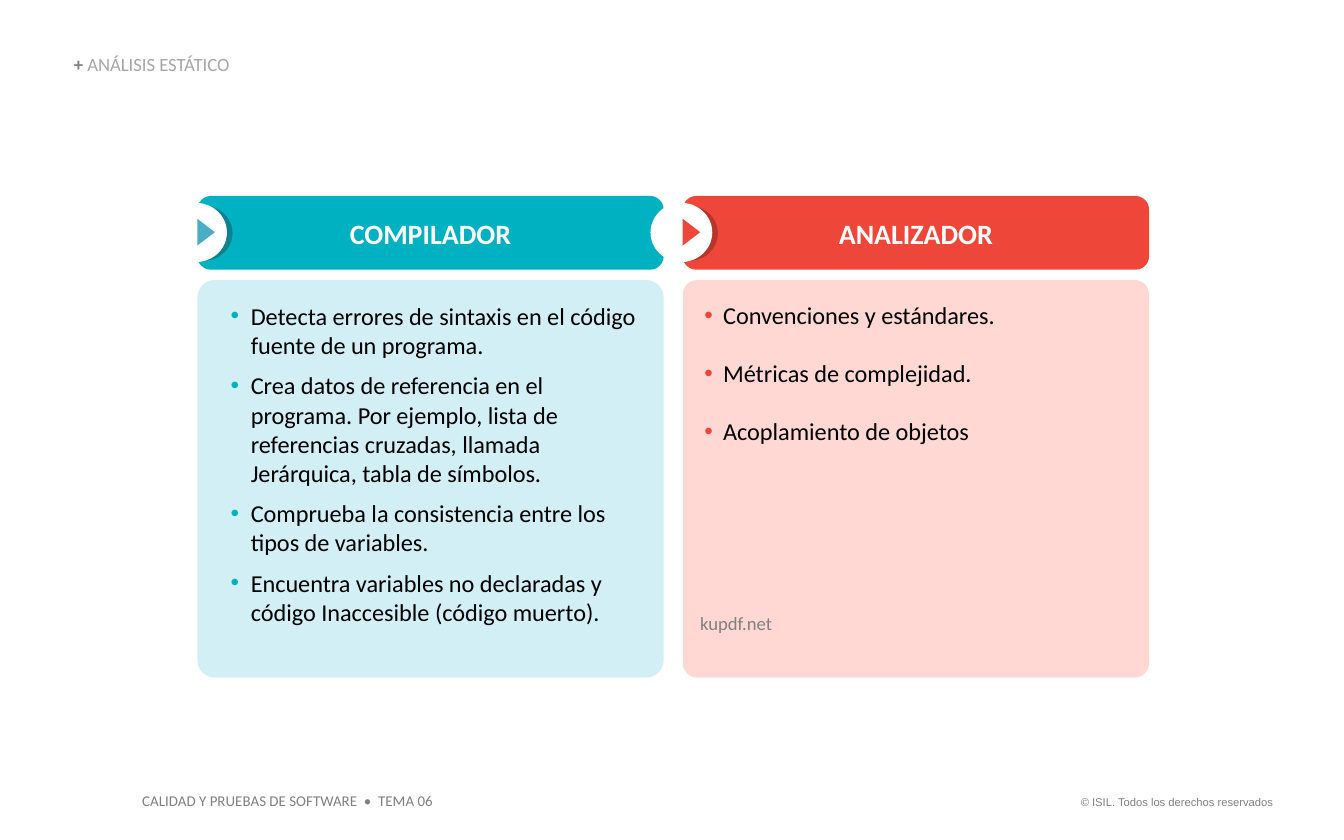
"""Build a slide comparing a compiler with a static analyser in two columns."""
from lxml import etree
from pptx import Presentation
from pptx.dml.color import RGBColor
from pptx.enum.shapes import MSO_SHAPE
from pptx.enum.text import MSO_ANCHOR, MSO_AUTO_SIZE, PP_ALIGN
from pptx.oxml.ns import qn
from pptx.util import Pt

ROUNDED, ELLIPSE, TRIANGLE = MSO_SHAPE.ROUNDED_RECTANGLE, MSO_SHAPE.OVAL, MSO_SHAPE.ISOSCELES_TRIANGLE
TOP, MIDDLE, BOTTOM = MSO_ANCHOR.TOP, MSO_ANCHOR.MIDDLE, MSO_ANCHOR.BOTTOM
LEFT, CENTER, RIGHT = PP_ALIGN.LEFT, PP_ALIGN.CENTER, PP_ALIGN.RIGHT
GROW = MSO_AUTO_SIZE.SHAPE_TO_FIT_TEXT

WHITE = RGBColor(0xFF, 0xFF, 0xFF)
BLACK = RGBColor(0, 0, 0)
GRAY = RGBColor(0x80, 0x80, 0x80)
LIGHT_GRAY = RGBColor(0xA6, 0xA6, 0xA6)
TEAL = RGBColor(0x00, 0xB1, 0xC2)
DARK_TEAL = RGBColor(0x0B, 0x82, 0x8E)
PALE_TEAL = RGBColor(0xD1, 0xEF, 0xF4)
BLUE = RGBColor(0x4B, 0xAC, 0xC6)
RED = RGBColor(0xEE, 0x46, 0x39)
DARK_RED = RGBColor(0xB7, 0x36, 0x2B)
PALE_RED = RGBColor(0xFF, 0xD8, 0xD4)

COLUMNS = [
    {
        "title": "COMPILADOR",
        "items": [
            "Detecta errores de sintaxis en el código fuente de un programa.",
            "Crea datos de referencia en el programa. Por ejemplo, lista de referencias "
            "cruzadas, llamada Jerárquica, tabla de símbolos.",
            "Comprueba la consistencia entre los tipos de variables.",
            "Encuentra variables no declaradas y código Inaccesible (código muerto).",
        ],
        "color": TEAL, "dark": DARK_TEAL, "pale": PALE_TEAL, "arrow": BLUE,
        "corner": 0.044, "margin": 17.3, "hanging": 10.8, "gap": 6,
    },
    {
        "title": "ANALIZADOR",
        "items": ["Convenciones y estándares.", "Métricas de complejidad.", "Acoplamiento de objetos"],
        "color": RED, "dark": DARK_RED, "pale": PALE_RED, "arrow": RED,
        "corner": 0.036, "margin": 10.8, "hanging": 10.1, "gap": 15.6,
    },
]
COLUMN_LEFT, COLUMN_STEP, COLUMN_WIDTH = 105.8, 260, 249.8
HEADER_TOP, HEADER_HEIGHT = 105, 39.5
PANEL_TOP, PANEL_HEIGHT = 150, 213

TITLE = [("+ ", GRAY, True), ("ANÁLISIS ESTÁTICO", LIGHT_GRAY, False)]
LABELS = [
    {"spans": TITLE, "at": (39.6, 29.5, 260, 10.8), "size": 10,
     "frame": {"vertical_anchor": BOTTOM, "word_wrap": True}, "inset": (0, 0),
     "para": {"line_spacing": 0.9}},
    {"spans": [("kupdf.net", GRAY, False)], "at": (375.1, 327.6, 135.4, 12.2), "size": 10,
     "frame": {"word_wrap": True}, "inset": (0, 0), "para": {}},
    {"spans": [("CALIDAD Y PRUEBAS DE SOFTWARE  •  TEMA 06", GRAY, False)],
     "at": (69.1, 420.5, 170.6, 17.3), "size": 8,
     "frame": {"word_wrap": False}, "inset": (7.2, 3.6), "para": {}},
    {"spans": [("© ISIL. Todos los derechos reservados", GRAY, False)],
     "at": (567.4, 422.6, 121.7, 14.4), "size": 6, "font": "Arial",
     "frame": {"word_wrap": False}, "inset": (7.2, 3.6), "para": {"alignment": RIGHT}},
]


def apply(target, values):
    for name, value in values.items():
        setattr(target, name, value)


def add_span(para, text, size, color, bold=False, name="Calibri"):
    span = para.add_run()
    span.text = text
    apply(span.font, {"size": Pt(size), "bold": bold, "name": name})
    span.font.color.rgb = color


def set_insets(frame, left, top, right, bottom):
    apply(frame, {"margin_left": Pt(left), "margin_top": Pt(top),
                  "margin_right": Pt(right), "margin_bottom": Pt(bottom)})


def add_filled(shapes, kind, at, color):
    shape = shapes.add_shape(kind, *map(Pt, at))
    shape.shadow.inherit = False
    shape.fill.solid()
    shape.fill.fore_color.rgb = color
    shape.line.fill.background()
    return shape


def add_bullet(para, color, margin, hanging):
    properties = para._p.get_or_add_pPr()
    properties.set("marL", str(Pt(margin)))
    properties.set("indent", str(-Pt(hanging)))
    bullet_color = etree.SubElement(properties, qn("a:buClr"))
    etree.SubElement(bullet_color, qn("a:srgbClr"), val=str(color))
    etree.SubElement(properties, qn("a:buFont"), typeface="Arial")
    etree.SubElement(properties, qn("a:buChar"), char="•")


def add_header(page, column, left):
    header = add_filled(page.shapes, ROUNDED, (left, HEADER_TOP, COLUMN_WIDTH, HEADER_HEIGHT), column["color"])
    header.adjustments[0] = 0.183
    header.text_frame.vertical_anchor = MIDDLE
    para = header.text_frame.paragraphs[0]
    para.alignment = CENTER
    add_span(para, column["title"], 15, WHITE, True)


def add_panel(page, column, left):
    panel = add_filled(page.shapes, ROUNDED, (left, PANEL_TOP, COLUMN_WIDTH, PANEL_HEIGHT), column["pale"])
    panel.adjustments[0] = column["corner"]
    frame = panel.text_frame
    apply(frame, {"word_wrap": True, "vertical_anchor": TOP})
    set_insets(frame, 8.6, 8.6, 8.6, 3.6)
    for index, item in enumerate(column["items"]):
        para = frame.add_paragraph() if index else frame.paragraphs[0]
        add_bullet(para, column["color"], column["margin"], column["hanging"])
        apply(para, {"level": 1, "alignment": LEFT, "space_after": Pt(column["gap"])})
        add_span(para, item, 13, BLACK)


def add_badge(page, column, left):
    shapes = page.shapes.add_group_shape().shapes
    add_filled(shapes, ELLIPSE, (left - 12.2, 110.2, 31, 29.5), column["dark"])
    add_filled(shapes, ELLIPSE, (left - 17.3, 108.7, 33.1, 31.7), WHITE)
    arrow = add_filled(shapes, TRIANGLE, (left - 2.6, 119.7, 14.4, 9.4), column["arrow"])
    arrow.rotation = 90


def add_label(page, label):
    box = page.shapes.add_textbox(*map(Pt, label["at"]))
    frame = box.text_frame
    apply(frame, {"auto_size": GROW, **label["frame"]})
    set_insets(frame, *label["inset"] * 2)
    para = frame.paragraphs[0]
    apply(para, label["para"])
    for text, color, bold in label["spans"]:
        add_span(para, text, label["size"], color, bold, label.get("font", "Calibri"))


def main():
    deck = Presentation()
    apply(deck, {"slide_width": Pt(720), "slide_height": Pt(450)})
    page = deck.slides.add_slide(deck.slide_layouts[6])
    for index, column in enumerate(COLUMNS):
        left = COLUMN_LEFT + index * COLUMN_STEP
        add_header(page, column, left)
        add_panel(page, column, left)
        add_badge(page, column, left)
    for label in LABELS:
        add_label(page, label)
    deck.save("out.pptx")


if __name__ == "__main__":
    main()
